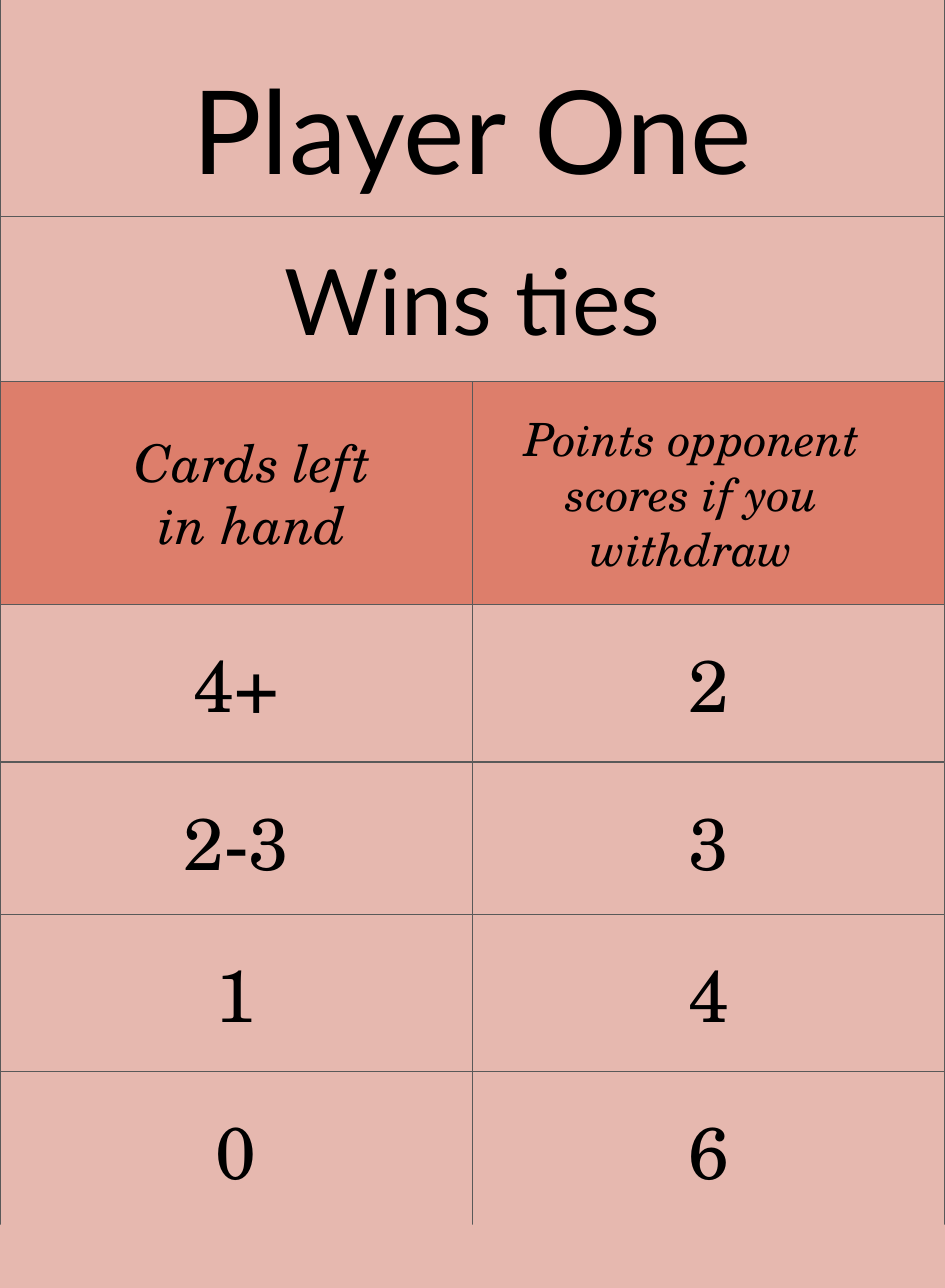
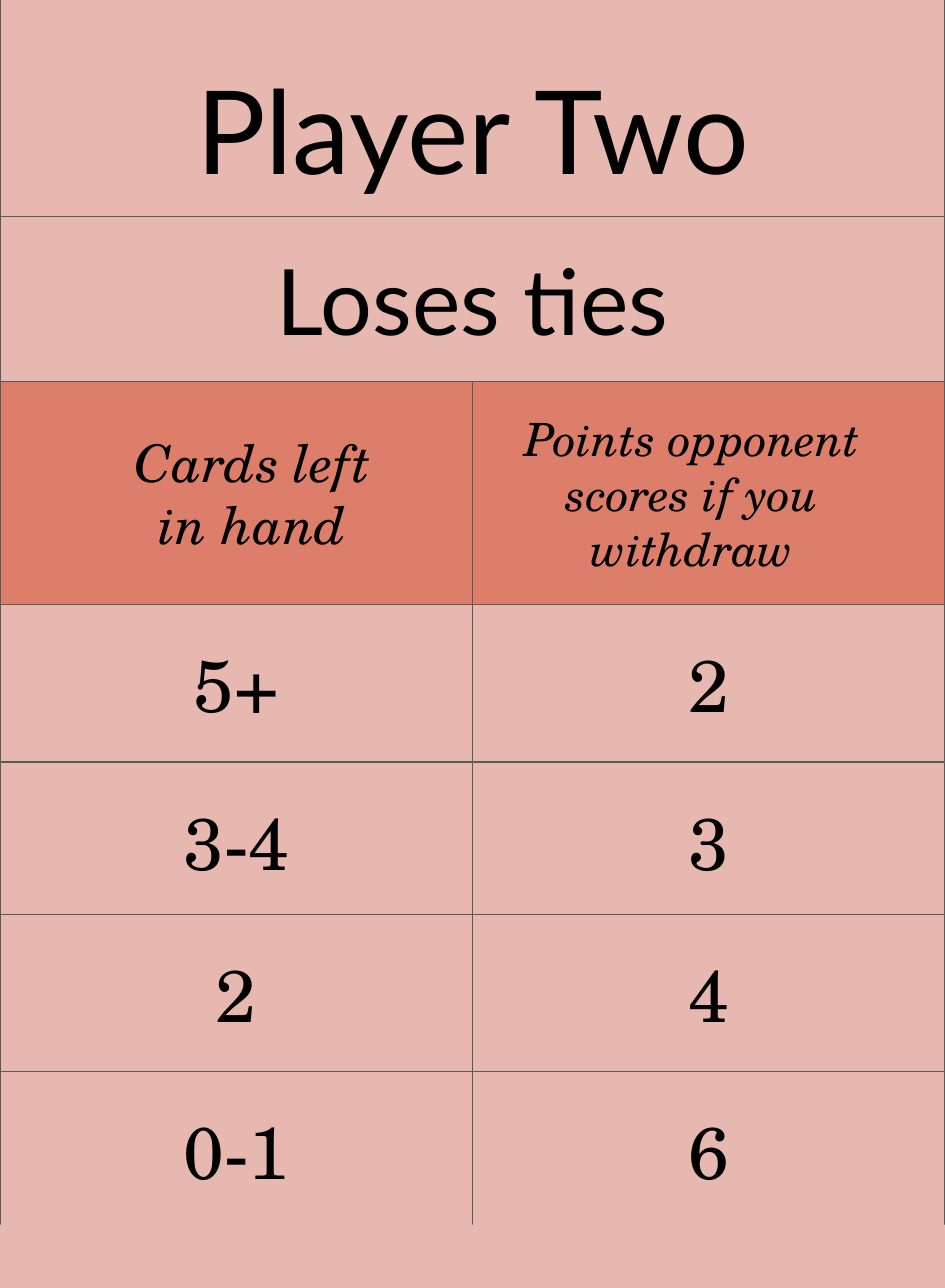
from pptx import Presentation
from pptx.dml.color import RGBColor
from pptx.enum.shapes import MSO_SHAPE
from pptx.enum.text import MSO_ANCHOR, PP_ALIGN
from pptx.util import Cm, Pt

COLORS = {"pale": "E6B8AF", "deep": "DD7E6B", "edge": "595959", "ink": "000000"}
SANS, SERIF = "Lato", "TeX Gyre Schola"
DOT = 2.54 / 96
WIDTH, HEIGHT = 825 * DOT, 1125 * DOT
TOPS = [0, 3.65, 7.16, 10.8]
ROW = 3.64
POINTS = ["2", "3", "4", "6"]
PLAYERS = [
    ("Player One", "Wins ties", ["4+", "2-3", "1", "0"]),
    ("Player Two", "Loses ties", ["5+", "3-4", "2", "0-1"]),
]


def color(name):
    return RGBColor.from_string(COLORS[name])


def write(shape, text, size, font=SERIF, italic=False, pad=(0.13, 0.25, 0.13, 0.25)):
    frame = shape.text_frame
    frame.word_wrap = True
    frame.vertical_anchor = MSO_ANCHOR.MIDDLE
    frame.margin_left, frame.margin_top, frame.margin_right, frame.margin_bottom = map(Cm, pad)
    para = frame.paragraphs[0]
    para.text = text
    para.alignment = PP_ALIGN.CENTER
    for run in para.runs:
        run.font.name = font
        run.font.size = Pt(size)
        run.font.italic = italic
        run.font.color.rgb = color("ink")


def panel(slide, box, fill="pale", edge=True):
    shape = slide.shapes.add_shape(MSO_SHAPE.RECTANGLE, *map(Cm, box))
    shape.shadow.inherit = False
    shape.fill.solid()
    shape.fill.fore_color.rgb = color(fill)
    if edge:
        shape.line.color.rgb = color("edge")
        shape.line.width = Pt(0.75)
    else:
        shape.line.fill.background()
    return shape


def banner(slide, box, name, rule):
    left, top, width, height = box
    title = 5.08
    write(panel(slide, (left, top + title, width, height - title)), rule, 60, SANS)
    write(panel(slide, (left, top, width, title)), name, 76, SANS,
          pad=(0.25, 1.27, 0.25, 0.25))


def header(slide, box):
    left, top, width, height = box
    half = width / 2
    write(panel(slide, (left, top, half, height), "deep"),
          "Cards left\nin hand", 34, italic=True, pad=(0.89, 0.25, 0.13, 0.25))
    write(panel(slide, (left + half, top, half, height), "deep"),
          "Points opponent scores if you withdraw", 30, italic=True,
          pad=(0.13, 0.25, 0.89, 0.25))


def scores(slide, box, cards):
    left, top, width = box
    half = width / 2
    for col, values in enumerate((cards, POINTS)):
        for step, value in zip(TOPS, values):
            cell = panel(slide, (left + col * half, top + step, half, ROW))
            write(cell, value, 48)


def main():
    deck = Presentation()
    deck.slide_width, deck.slide_height = Cm(WIDTH), Cm(HEIGHT)
    for name, rule, cards in PLAYERS:
        slide = deck.slides.add_slide(deck.slide_layouts[6])
        banner(slide, (0, -0.08, WIDTH, 8.89), name, rule)
        scores(slide, (0, 13.97, WIDTH), cards)
        header(slide, (0, 8.81, WIDTH, 5.16))
        panel(slide, (0, 28.3, WIDTH, HEIGHT - 28.3), edge=False)
    deck.save("out.pptx")


if __name__ == "__main__":
    main()
